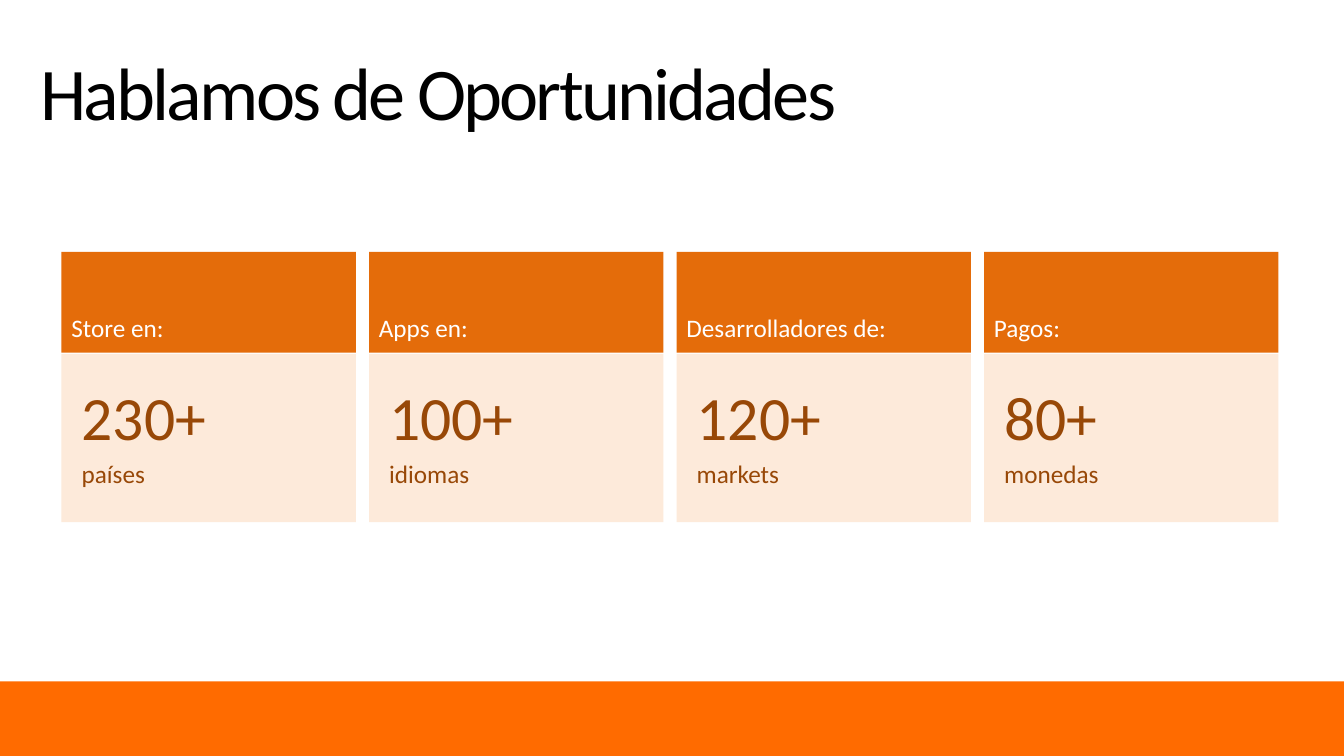
from pptx import Presentation
from pptx.dml.color import RGBColor
from pptx.enum.shapes import MSO_SHAPE
from pptx.enum.text import MSO_ANCHOR, PP_ALIGN
from pptx.util import Inches, Pt

TITLE = "Hablamos de Oportunidades"
CARDS = [
    ("Store en:", "230+", "países"),
    ("Apps en:", "100+", "idiomas"),
    ("Desarrolladores de:", "120+", "markets"),
    ("Pagos:", "80+", "monedas"),
]
COLORS = {
    "footer": "FF6B00",
    "header": "E46C0A",
    "body": "FDEADA",
    "figure": "984807",
    "title": "000000",
    "white": "FFFFFF",
}
FONT = "Calibri"
SLIDE_WIDTH, SLIDE_HEIGHT = 13.33, 7.5
FOOTER_TOP = 6.76
CARD_LEFT, CARD_WIDTH, CARD_PITCH = 0.61, 2.92, 3.05
HEADER_TOP, HEADER_HEIGHT = 2.5, 1.0
BODY_TOP, BODY_HEIGHT = 3.51, 1.67


def add_box(slide, box, color):
    shape = slide.shapes.add_shape(MSO_SHAPE.RECTANGLE, *map(Inches, box))
    shape.shadow.inherit = False
    shape.fill.solid()
    shape.fill.fore_color.rgb = RGBColor.from_string(COLORS[color])
    shape.line.fill.background()
    return shape


def write_text(shape, lines, color, anchor, insets, line_spacing=0.9):
    """Fill a shape with (text, size) lines; insets run left, top, right, bottom."""
    frame = shape.text_frame
    frame.word_wrap = True
    frame.vertical_anchor = anchor
    (frame.margin_left, frame.margin_top,
     frame.margin_right, frame.margin_bottom) = map(Inches, insets)
    frame.text = "\n".join(text for text, size in lines)
    for index, (paragraph, (text, size)) in enumerate(zip(frame.paragraphs, lines)):
        paragraph.alignment = PP_ALIGN.LEFT
        paragraph.line_spacing = line_spacing
        if index:
            paragraph.space_before = Pt(6)
        font = paragraph.runs[0].font
        font.name = FONT
        font.size = Pt(size)
        font.color.rgb = RGBColor.from_string(COLORS[color])


def add_title(slide):
    title = slide.shapes.add_textbox(*map(Inches, (0.3, 0.44, 12.61, 1.12)))
    write_text(title, [(TITLE, 53)], "title", MSO_ANCHOR.MIDDLE,
               (0.1, 0.05, 0.1, 0.05), line_spacing=0.75)
    run = title.text_frame.paragraphs[0].runs[0]
    run.font._element.set("spc", "-200")


def add_card(slide, left, heading, figure, unit):
    body = add_box(slide, (left, BODY_TOP, CARD_WIDTH, BODY_HEIGHT), "body")
    write_text(body, [(figure, 44), (unit, 18)], "figure", MSO_ANCHOR.MIDDLE,
               (0.2, 0.05, 0.05, 0.05))
    header = add_box(slide, (left, HEADER_TOP, CARD_WIDTH, HEADER_HEIGHT), "header")
    write_text(header, [(heading, 18)], "white", MSO_ANCHOR.BOTTOM,
               (0.1, 0.05, 0.05, 0.1))


def main():
    presentation = Presentation()
    presentation.slide_width = Inches(SLIDE_WIDTH)
    presentation.slide_height = Inches(SLIDE_HEIGHT)
    slide = presentation.slides.add_slide(presentation.slide_layouts[6])
    add_box(slide, (0, FOOTER_TOP, SLIDE_WIDTH, SLIDE_HEIGHT - FOOTER_TOP), "footer")
    add_title(slide)
    for index, card in enumerate(CARDS):
        add_card(slide, CARD_LEFT + index * CARD_PITCH, *card)
    presentation.save("out.pptx")


if __name__ == "__main__":
    main()
